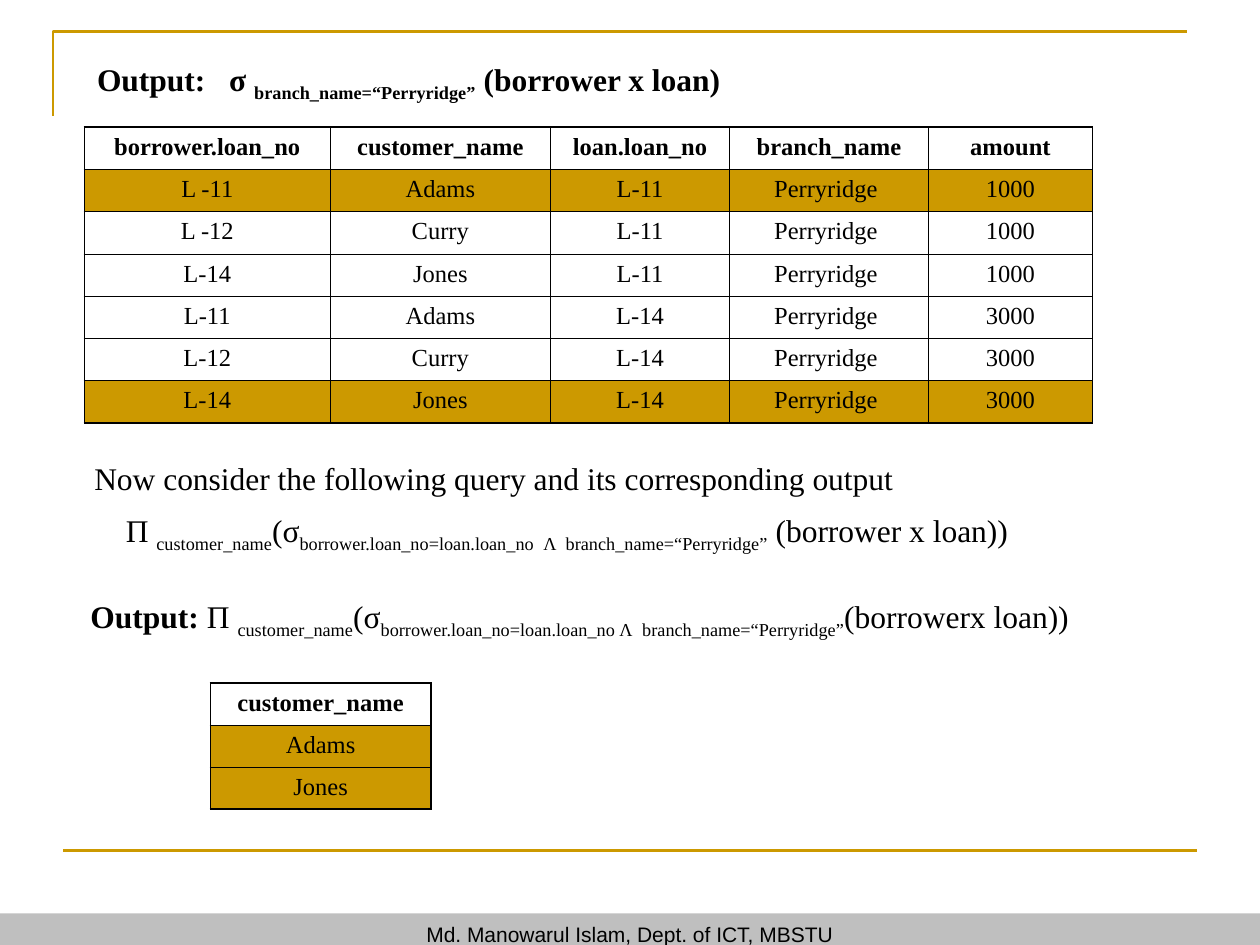
from dataclasses import dataclass

from lxml.etree import SubElement
from pptx import Presentation
from pptx.dml.color import RGBColor
from pptx.enum.shapes import MSO_CONNECTOR, MSO_SHAPE
from pptx.enum.text import MSO_ANCHOR, MSO_AUTO_SIZE, PP_ALIGN
from pptx.oxml import parse_xml
from pptx.oxml.ns import nsdecls, qn
from pptx.util import Inches, Pt


@dataclass(frozen=True)
class Theme:
    gold: str = "CC9900"
    white: str = "FFFFFF"
    black: str = "000000"
    gray: str = "BFBFBF"
    serif: str = "Times New Roman"
    sans: str = "Arial"
    body_size: float = 18
    table_size: float = 14
    footer_size: float = 12
    rule: float = 1.5
    outer_border: float = 1.08
    inner_border: float = 0.45


THEME = Theme()
BOLD = {"bold": True}
SUB = {"baseline": -25000}
BOLD_SUB = BOLD | SUB
WIDE = BOLD | {"spacing": 900}
SUB_GAP = SUB | {"spacing": 260}

TITLE = [("Output:", BOLD), (" ", WIDE), ("σ ", BOLD),
         ("branch_name=“Perryridge”", BOLD_SUB), (" (borrower x loan)", BOLD)]
PROJECTION = [("Π ", {}), ("customer_name", SUB), ("(σ", {}),
              ("borrower.loan_no=loan.loan_no", SUB)]
CONDITION = [("Λ", SUB), (" ", SUB_GAP), ("branch_name=“Perryridge”", SUB)]
LINES = [
    ((0.65, 3.59, 7, 0.4),
     [("Now consider the following query and its corresponding output", {})]),
    ((0.9, 4.01, 8.75, 0.44),
     PROJECTION + [(" ", SUB_GAP)] + CONDITION + [(" (borrower x loan))", {})]),
    ((0.62, 4.69, 9.33, 0.44),
     [("Output: ", BOLD)] + PROJECTION + [(" ", SUB)] + CONDITION + [("(borrowerx loan))", {})]),
]
TABLES = [
    {"at": (0.67, 1.01), "height": 2.35, "widths": (1.95, 1.75, 1.42, 1.58, 1.3),
     "highlighted": {1, 6},
     "rows": [
         ("borrower.loan_no", "customer_name", "loan.loan_no", "branch_name", "amount"),
         ("L -11", "Adams", "L-11", "Perryridge ", "1000"),
         ("L -12", "Curry", "L-11", "Perryridge ", "1000"),
         ("L-14", "Jones", "L-11", "Perryridge ", "1000"),
         ("L-11", "Adams", "L-14", "Perryridge ", "3000"),
         ("L-12", "Curry", "L-14", "Perryridge ", "3000"),
         ("L-14", "Jones", "L-14", "Perryridge ", "3000")]},
    {"at": (1.67, 5.42), "height": 1, "widths": (1.75,), "highlighted": {1, 2},
     "rows": [("customer_name",), ("Adams",), ("Jones",)]},
]
FOOTER = "Md. Manowarul Islam, Dept. of ICT, MBSTU"


def color(value):
    return RGBColor.from_string(value)


def paint(shape, value):
    shape.fill.solid()
    shape.fill.fore_color.rgb = color(value)


def write(frame, spans, size, font=THEME.serif, align=PP_ALIGN.LEFT):
    para = frame.paragraphs[0]
    para.alignment = align
    for text, style in spans:
        span = para.add_run()
        span.text = text
        values = {"name": font, "size": Pt(size), "bold": style.get("bold", False)}
        for key, value in values.items():
            setattr(span.font, key, value)
        span.font.color.rgb = color(THEME.black)
        properties = span.font._element
        for key, attribute in (("baseline", "baseline"), ("spacing", "spc")):
            if key in style:
                properties.set(attribute, str(style[key]))
    return para


def draw_rule(line):
    line.color.rgb = color(THEME.gold)
    line.width = Pt(THEME.rule)


def border(cell, outer_sides):
    properties = cell._tc.get_or_add_tcPr()
    for index, side in enumerate("LRTB"):
        width = THEME.outer_border if side in outer_sides else THEME.inner_border
        edge = parse_xml(f'<a:ln{side} {nsdecls("a")} w="{Pt(width)}"><a:solidFill>'
                         f'<a:srgbClr val="{THEME.black}"/></a:solidFill></a:ln{side}>')
        properties.insert(index, edge)


def add_grid(page, at, height, widths, highlighted, rows):
    last_row, last_column = len(rows) - 1, len(widths) - 1
    box = (*at, sum(widths), height)
    table = page.shapes.add_table(len(rows), len(widths), *map(Inches, box)).table
    table.horz_banding = False
    for column, width in zip(table.columns, widths):
        column.width = Inches(width)
    for row, values in enumerate(rows):
        for column, text in enumerate(values):
            cell = table.cell(row, column)
            paint(cell, THEME.gold if row in highlighted else THEME.white)
            edges = {"L": column == 0, "R": column == last_column,
                     "T": row == 0, "B": row == last_row}
            border(cell, {side for side, outer in edges.items() if outer})
            para = write(cell.text_frame, [(text, {"bold": row == 0})],
                         THEME.table_size, align=PP_ALIGN.CENTER)
            para.space_before = Pt(3.5)


deck = Presentation()
deck.slide_width, deck.slide_height = Inches(10), Inches(7.5)
page = deck.slides.add_slide(deck.slide_layouts[5])

outline = page.shapes.build_freeform(Inches(0.42), Inches(0.92))
outline.add_line_segments([(Inches(0.42), Inches(0.25)), (Inches(9.42), Inches(0.25))], close=False)
corner = outline.convert_to_shape()
corner.shadow.inherit = False
corner.fill.background()
draw_rule(corner.line)

bottom_rule = page.shapes.add_connector(
    MSO_CONNECTOR.STRAIGHT, Inches(0.5), Inches(6.75), Inches(9.5), Inches(6.75))
draw_rule(bottom_rule.line)
SubElement(bottom_rule._element.spPr, qn("a:effectLst"))

footer = page.shapes.add_shape(MSO_SHAPE.RECTANGLE, *map(Inches, (0, 7.25, 10, 0.33)))
footer.shadow.inherit = False
paint(footer, THEME.gray)
footer.line.fill.background()
footer.text_frame.vertical_anchor = MSO_ANCHOR.MIDDLE
write(footer.text_frame, [(FOOTER, {})], THEME.footer_size, THEME.sans, PP_ALIGN.CENTER)

title = page.shapes.title
placement = dict(zip(("left", "top", "width", "height"), map(Inches, (0.67, 0.43, 8, 0.44))))
for key, value in placement.items():
    setattr(title, key, value)
title.text_frame.vertical_anchor = MSO_ANCHOR.TOP
title.text_frame.auto_size = MSO_AUTO_SIZE.NONE
write(title.text_frame, TITLE, THEME.body_size)

for place, spans in LINES:
    frame = page.shapes.add_textbox(*map(Inches, place)).text_frame
    frame.word_wrap = True
    frame.auto_size = MSO_AUTO_SIZE.SHAPE_TO_FIT_TEXT
    write(frame, spans, THEME.body_size)

for grid in TABLES:
    add_grid(page, **grid)

deck.save("out.pptx")
